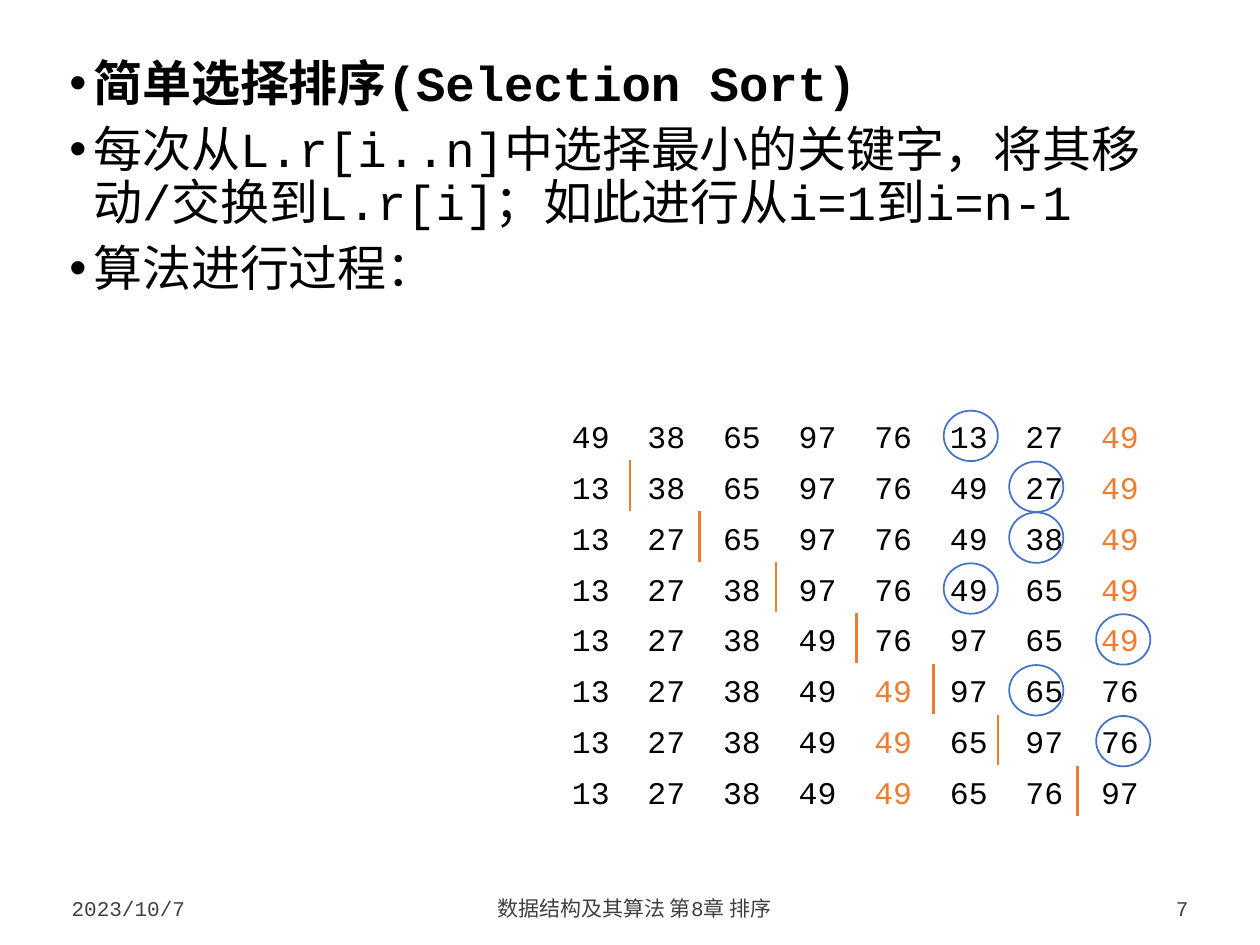
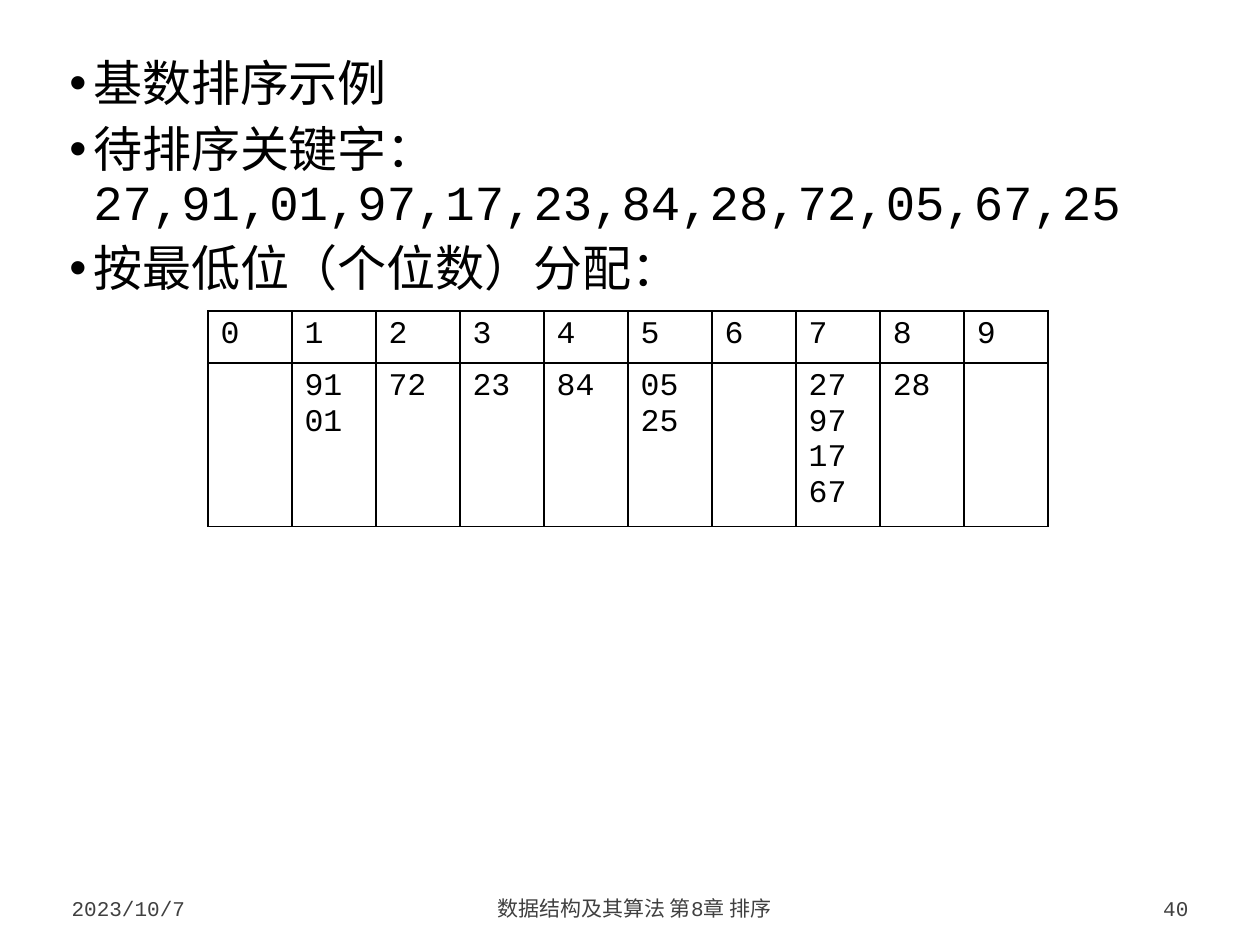
from dataclasses import dataclass

from lxml import etree
from pptx import Presentation
from pptx.dml.color import RGBColor
from pptx.enum.shapes import MSO_CONNECTOR, MSO_SHAPE
from pptx.enum.text import MSO_ANCHOR, MSO_AUTO_SIZE, PP_ALIGN
from pptx.oxml.ns import qn
from pptx.util import Inches, Pt

LEFT, CENTER, RIGHT = PP_ALIGN.LEFT, PP_ALIGN.CENTER, PP_ALIGN.RIGHT
TOP, BOTTOM = MSO_ANCHOR.TOP, MSO_ANCHOR.BOTTOM
NO_AUTOFIT = MSO_AUTO_SIZE.NONE
OVAL, STRAIGHT = MSO_SHAPE.OVAL, MSO_CONNECTOR.STRAIGHT

FONT = "Courier New"
BLACK, GRAY, ORANGE, BLUE = "000000", "404040", "ED7D31", "4472C4"
COURSE, DATE = "数据结构及其算法 第8章 排序", "2023/10/7"


@dataclass
class Box:
    """A region of the slide, in inches."""
    left: float
    top: float
    width: float
    height: float

    def emu(self):
        """Return the four lengths as python-pptx wants them."""
        return [Inches(v) for v in (self.left, self.top, self.width, self.height)]


BODY = Box(0.47, 0.39, 9.06, 6.42)
FOOTER = Box(0.47, 6.97, 9.06, 0.39)
TRACE = Box(4.44, 3.26, 4.72, 3.23)
BUCKETS = Box(1.65, 2.47, 6.67, 1.71)


def rgb(color):
    """Turn a hex string into a colour."""
    return RGBColor.from_string(color)


def write(frame, lines, size=18, color=BLACK, bold=False, align=LEFT):
    """Fill a frame; a line is text or a list of (text, colour) runs."""
    for number, line in enumerate(lines):
        paragraph = frame.paragraphs[0] if number == 0 else frame.add_paragraph()
        paragraph.alignment = align
        for text, run_color in [(line, color)] if isinstance(line, str) else line:
            run = paragraph.add_run()
            run.text = text
            run.font.name, run.font.size, run.font.bold = FONT, Pt(size), bold
            run.font.color.rgb = rgb(run_color)


def add_label(slide, box, lines, anchor=TOP, **style):
    """Place a text box and return its frame."""
    frame = slide.shapes.add_textbox(*box.emu()).text_frame
    frame.word_wrap, frame.vertical_anchor = True, anchor
    write(frame, lines, **style)
    return frame


def add_points(slide, box, points, bold_first=False):
    """Put the bulleted points in the body placeholder."""
    body = slide.placeholders[1]
    body.left, body.top, body.width, body.height = box.emu()
    frame = body.text_frame
    frame.auto_size, frame.vertical_anchor = NO_AUTOFIT, TOP
    frame.margin_left = frame.margin_right = Inches(0.08)
    frame.margin_top = frame.margin_bottom = Inches(0.08)
    write(frame, points, size=28)
    for paragraph in frame.paragraphs:
        paragraph.line_spacing, paragraph.space_before = 0.9, Pt(7.5)
        properties = paragraph._p.get_or_add_pPr()
        properties.set("marL", str(Inches(0.19)))
        properties.set("indent", str(-Inches(0.19)))
        etree.SubElement(properties, qn("a:buFont"), typeface="Arial")
        etree.SubElement(properties, qn("a:buChar"), char="•")
    frame.paragraphs[0].runs[0].font.bold = bold_first


def add_footer(slide, box, page):
    """Place the date, course name and page number."""
    parts = ((0, 1.25, DATE, LEFT), (1.37, 6.39, COURSE, CENTER),
             (7.88, 1.18, str(page), RIGHT))
    for offset, width, text, align in parts:
        part = Box(box.left + offset, box.top, width, box.height)
        add_label(slide, part, [text], BOTTOM, size=12, color=GRAY, align=align)


def start_slide(deck, page, points, bold_first=False):
    """Add a slide with its points and footer."""
    slide = deck.slides.add_slide(deck.slide_layouts[1])
    title = slide.shapes.title._element
    title.getparent().remove(title)
    add_points(slide, BODY, points, bold_first)
    add_footer(slide, FOOTER, page)
    return slide


def selection_passes(keys):
    """Return every state of the keys with the index of its next minimum."""
    keys, passes = list(keys), []
    for start in range(len(keys)):
        smallest = min(range(start, len(keys)), key=lambda i: int(keys[i][0]))
        passes.append((list(keys), smallest))
        keys[start], keys[smallest] = keys[smallest], keys[start]
    return passes


def add_key_row(slide, box, keys):
    """Write one row of keys on equal tab stops."""
    runs = [("\t" * (i > 0) + text, color) for i, (text, color) in enumerate(keys)]
    frame = add_label(slide, box, [runs])
    properties = frame.paragraphs[0]._p.get_or_add_pPr()
    stops = etree.SubElement(properties, qn("a:tabLst"))
    for column in range(1, len(keys)):
        etree.SubElement(stops, qn("a:tab"), pos=str(Inches(0.6 * column)), algn="l")


def add_minimum_ring(slide, box):
    """Circle the smallest remaining key."""
    ring = slide.shapes.add_shape(OVAL, *box.emu())
    ring.shadow.inherit = False
    ring.fill.background()
    ring.line.color.rgb, ring.line.width = rgb(BLUE), Pt(1)


def add_sorted_bar(slide, x, top, bottom):
    """Draw the bar between sorted and unsorted keys."""
    bar = slide.shapes.add_connector(
        STRAIGHT, Inches(x), Inches(top), Inches(x), Inches(bottom))
    bar.line.color.rgb, bar.line.width = rgb(ORANGE), Pt(1.5)
    etree.SubElement(bar._element.spPr, qn("a:effectLst"))


def add_selection_trace(slide, box, keys):
    """Show each pass of selection sort, its minimum and sorted part."""
    ring_offsets = {5: 3.05, 6: 3.57, 7: 4.26}
    bar_offsets = (0.56, 1.11, 1.72, 2.36, 2.97, 3.48, 4.11)
    passes = selection_passes(keys)
    pitch = box.height / len(passes)
    tops = [box.top + pitch * i for i in range(len(passes))]
    for top, (state, _) in zip(tops, passes):
        add_key_row(slide, Box(box.left, top, box.width, 0.4), state)
    for top, (_, smallest) in zip(tops, passes[:-1]):
        ring_left = box.left + ring_offsets[smallest]
        add_minimum_ring(slide, Box(ring_left, top, 0.43, 0.4))
    for top, offset in zip(tops[1:], bar_offsets):
        add_sorted_bar(slide, box.left + offset, top - 0.01, top + 0.39)


def outline_cell(cell):
    """Give a cell no fill and thin black borders."""
    cell.fill.background()
    properties = cell._tc.get_or_add_tcPr()
    for position, side in enumerate(("a:lnL", "a:lnR", "a:lnT", "a:lnB")):
        border = etree.Element(qn(side), w=str(Pt(1)))
        fill = etree.SubElement(border, qn("a:solidFill"))
        etree.SubElement(fill, qn("a:srgbClr"), val=BLACK)
        properties.insert(position, border)


def add_buckets(slide, box, keys):
    """Distribute the keys over a table by their last digit."""
    digits = "0123456789"
    table = slide.shapes.add_table(2, len(digits), *box.emu()).table
    table.first_row = table.horz_banding = False
    table.rows[0].height = Inches(0.41)
    table.rows[1].height = Inches(box.height - 0.41)
    for column, digit in enumerate(digits):
        table.columns[column].width = Inches(box.width / len(digits))
        bucket = [key for key in keys if key.endswith(digit)]
        for row, lines in enumerate(([digit], bucket)):
            cell = table.cell(row, column)
            outline_cell(cell)
            write(cell.text_frame, lines)


def build_selection_sort(deck):
    """Build the selection sort slide."""
    slide = start_slide(deck, 7, [
        "简单选择排序(Selection Sort)",
        "每次从L.r[i..n]中选择最小的关键字，将其移动/交换到L.r[i]；如此进行从i=1到i=n-1",
        "算法进行过程：",
    ], bold_first=True)
    keys = [(key, BLACK) for key in "49 38 65 97 76 13 27".split()]
    add_selection_trace(slide, TRACE, keys + [("49", ORANGE)])


def build_radix_sort(deck):
    """Build the radix sort slide."""
    keys = "27,91,01,97,17,23,84,28,72,05,67,25"
    slide = start_slide(deck, 40, [
        "基数排序示例",
        "待排序关键字：" + keys,
        "按最低位（个位数）分配：",
    ])
    add_buckets(slide, BUCKETS, keys.split(","))


def main():
    """Build and save the deck."""
    deck = Presentation()
    deck.slide_width, deck.slide_height = Inches(10), Inches(7.5)
    build_selection_sort(deck)
    build_radix_sort(deck)
    deck.save("out.pptx")


main()
